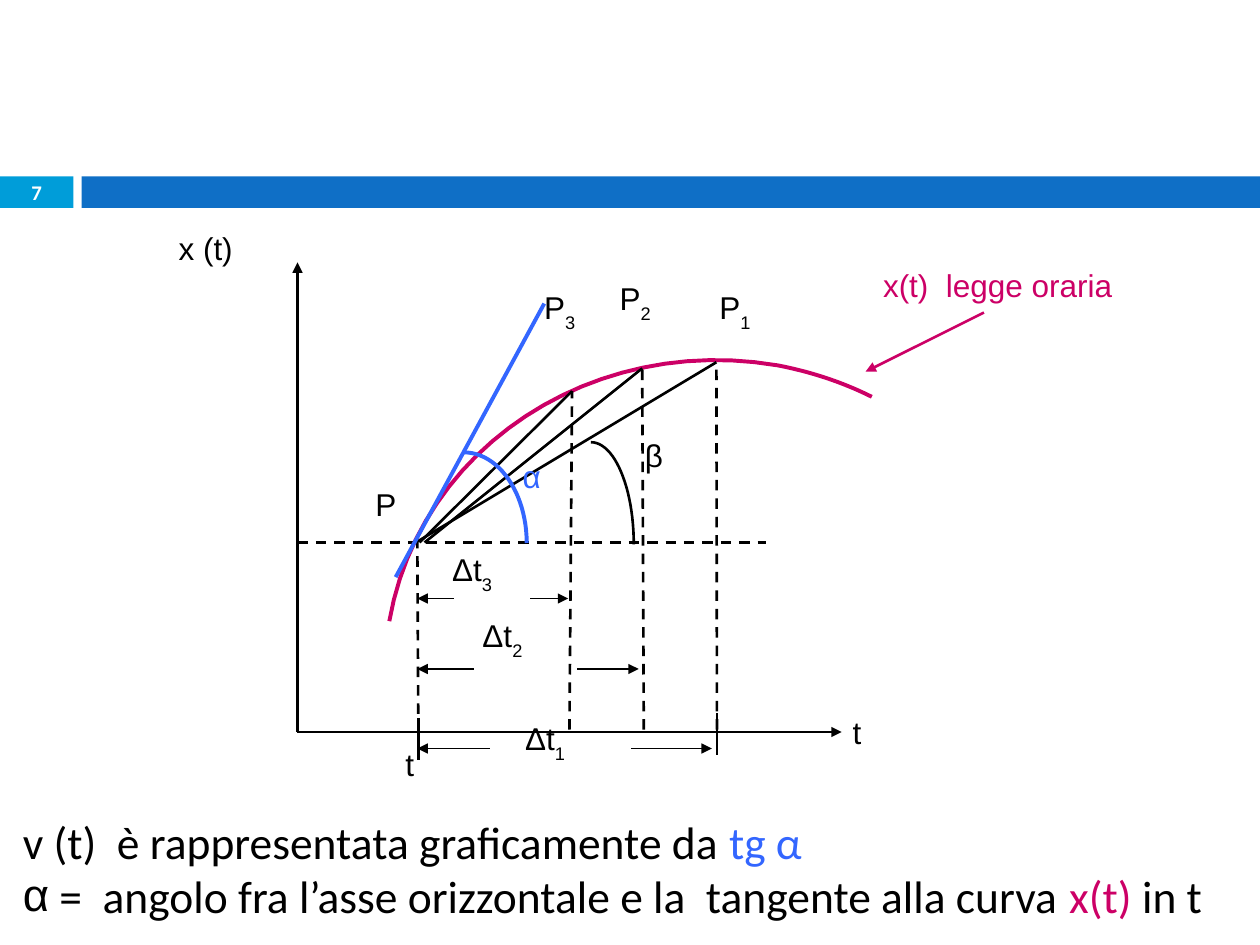
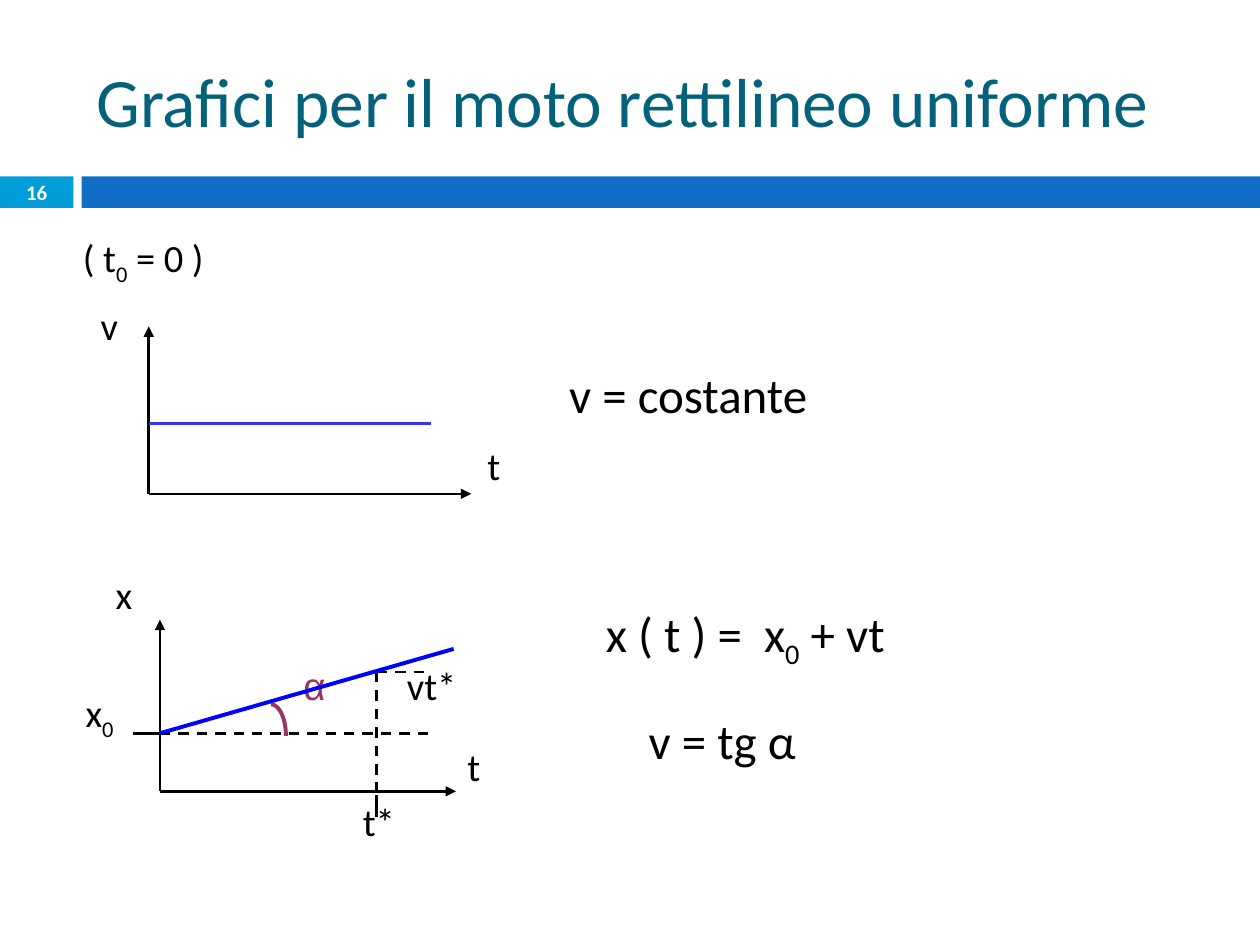
from dataclasses import dataclass

from pptx import Presentation
from pptx.dml.color import RGBColor
from pptx.enum.dml import MSO_LINE
from pptx.enum.shapes import MSO_CONNECTOR, MSO_SHAPE
from pptx.enum.text import MSO_ANCHOR as Anchor, PP_ALIGN as Align
from pptx.oxml.ns import qn
from pptx.slide import Slide
from pptx.util import Pt
from lxml.etree import SubElement

BLACK = RGBColor(0, 0, 0)
WHITE = RGBColor(255, 255, 255)
BAND_BLUE = RGBColor(0x0F, 0x6F, 0xC6)
NUMBER_BLUE = RGBColor(0x00, 0x9D, 0xD9)
TITLE_TEAL = RGBColor(0x04, 0x61, 0x7B)
CURVE_PINK = RGBColor(0xCC, 0x00, 0x66)
TANGENT_BLUE = RGBColor(0x33, 0x66, 0xFF)
SPEED_BLUE = RGBColor(0x33, 0x33, 0xFF)
POSITION_BLUE = RGBColor(0x00, 0x00, 0xFF)
ANGLE_PLUM = RGBColor(0x99, 0x33, 0x66)

TITLE_LAYOUT, BLANK_LAYOUT = 5, 6
CURVE_STEPS = 24
QUARTER = 0.5523


def add_run(paragraph, text, size, color, font, bold, baseline=None):
    """Append one formatted run to a paragraph."""
    run = paragraph.add_run()
    run.text = text
    run.font.size = Pt(size)
    run.font.name = font
    run.font.bold = bold
    run.font.color.rgb = color
    if baseline:
        run._r.get_or_add_rPr().set("baseline", str(baseline * 1000))


def set_bullet(paragraph, character):
    """Give a paragraph a flush bullet character."""
    properties = paragraph._p.get_or_add_pPr()
    properties.set("marL", "0")
    properties.set("indent", "0")
    SubElement(properties, qn("a:buFont")).set("typeface", "Arial")
    SubElement(properties, qn("a:buChar")).set("char", character)


def write(frame, *paragraphs, size=22, color=BLACK, font="Calibri", bold=False,
          baseline=-25, align=Align.LEFT, anchor=Anchor.TOP, wrap=True, bullets=()):
    """Fill a text frame; the character after an underscore becomes a subscript."""
    frame.word_wrap = wrap
    frame.vertical_anchor = anchor
    for index, content in enumerate(paragraphs):
        paragraph = frame.paragraphs[0] if index == 0 else frame.add_paragraph()
        paragraph.alignment = align
        if index < len(bullets) and bullets[index]:
            set_bullet(paragraph, bullets[index])
        pieces = [(content, color)] if isinstance(content, str) else content
        for text, piece_color in pieces:
            style = (size, piece_color, font, bold)
            plain, *subscripted = text.split("_")
            if plain:
                add_run(paragraph, plain, *style)
            for part in subscripted:
                add_run(paragraph, part[0], *style, baseline)
                if part[1:]:
                    add_run(paragraph, part[1:], *style)


def bezier(start, first, second, end):
    """Return points along a cubic curve, without its start."""
    points = []
    for step in range(1, CURVE_STEPS + 1):
        t = step / CURVE_STEPS
        weights = ((1 - t) ** 3, 3 * t * (1 - t) ** 2, 3 * t * t * (1 - t), t ** 3)
        points.append(tuple(sum(w * p[axis] for w, p in zip(weights, (start, first, second, end)))
                            for axis in (0, 1)))
    return points


@dataclass
class Region:
    """A part of a slide whose contents are placed from its top left corner."""
    slide: Slide
    left: float = 0
    top: float = 0

    def place(self, x, y):
        """Turn region coordinates into slide lengths."""
        return Pt(self.left + x), Pt(self.top + y)

    def text(self, box, *paragraphs, **text_format):
        """Add a text box at left, top, width, height."""
        x, y, width, height = box
        shape = self.slide.shapes.add_textbox(*self.place(x, y), Pt(width), Pt(height))
        write(shape.text_frame, *paragraphs, **text_format)

    def bar(self, box, color):
        """Add a plain filled rectangle."""
        x, y, width, height = box
        shape = self.slide.shapes.add_shape(
            MSO_SHAPE.RECTANGLE, *self.place(x, y), Pt(width), Pt(height))
        shape.shadow.inherit = False
        shape.fill.solid()
        shape.fill.fore_color.rgb = color
        shape.line.fill.background()

    def line(self, start, end, color=BLACK, width=1.5, dashed=False, arrow=False):
        """Add a straight line, with an optional arrowhead at its end."""
        connector = self.slide.shapes.add_connector(
            MSO_CONNECTOR.STRAIGHT, *self.place(*start), *self.place(*end))
        connector.line.color.rgb = color
        connector.line.width = Pt(width)
        if dashed:
            connector.line.dash_style = MSO_LINE.DASH
        if arrow:
            SubElement(connector.line._get_or_add_ln(), qn("a:tailEnd")).set("type", "triangle")
        SubElement(connector._element.spPr, qn("a:effectLst"))

    def axes(self, origin, right, top):
        """Add a horizontal and a vertical arrow from one origin."""
        self.line(origin, (right, origin[1]), arrow=True)
        self.line(origin, (origin[0], top), arrow=True)

    def curve(self, points, color, width=2.25):
        """Add an open unfilled curve through points."""
        start, *rest = [self.place(*point) for point in points]
        builder = self.slide.shapes.build_freeform(*start)
        builder.add_line_segments(rest, close=False)
        shape = builder.convert_to_shape()
        shape.shadow.inherit = False
        shape.fill.background()
        shape.line.color.rgb = color
        shape.line.width = Pt(width)

    def angle(self, start, end, color, width=2.25):
        """Add a quarter ellipse from its top to its right end."""
        (x, y), (right, bottom) = start, end
        first = (x + QUARTER * (right - x), y)
        second = (right, bottom - QUARTER * (bottom - y))
        self.curve([start, *bezier(start, first, second, end)], color, width)


def add_band(slide, number):
    """Draw the shared blue band with the slide number."""
    band = Region(slide, 0, 100.8)
    band.bar((0, 0, 42, 18), NUMBER_BLUE)
    band.bar((46.6, 0, 673.4, 18), BAND_BLUE)
    band.text((0, -0.5, 42, 19), str(number), size=11.9, color=WHITE, bold=True,
              align=Align.CENTER, anchor=Anchor.MIDDLE)


def draw_secants(slide, left, top):
    """Draw the law of motion with its secants, tangent and intervals."""
    plot = Region(slide, left, top)

    def label(x, y, text, width=60, height=54, color=BLACK):
        plot.text((x, y, width, height), text, size=18, color=color,
                  font="Arial", baseline=-30)

    axis_x, axis_y, level, t_x = 80, 298.3, 190, 148.5
    plot.axes((axis_x, axis_y), 391, 30)
    plot.line((axis_x, level), (347.8, level), dashed=True)
    plot.line((149, 288), (t_x, level), dashed=True)

    start, middle, end = (132.5, 235), (354.2, 88.8), (408.2, 106.8)
    plot.curve([start, *bezier(start, (149.8, 135.6), (249.1, 70.8), middle),
                *bezier(middle, (373, 92.4), (391, 98.2), end)], CURVE_PINK)

    secants = [(147.6, 319.4, 87), (152.6, 277, 90.5), (149.8, 236.9, 103.5)]
    for foot, (begin, x, y) in zip((319.7, 277.9, 235.4), secants):
        plot.line((foot, 297), (x, y), dashed=True)
        plot.line((begin, level), (x, y))
    plot.line((136.1, 209.8), (221, 53.5), TANGENT_BLUE, 2.25)
    plot.angle((175, 138.5), (211, 190.3), TANGENT_BLUE)
    plot.angle((247.7, 132.7), (272.2, 191), BLACK, 1.5)

    for x, y in ((149, 290.4), (319.7, 287.5)):
        plot.line((x, y), (x, y + 23.8))
    intervals = [("Δt_1", 203, 287.5, 307.7, 190, 270.7, 316.8),
                 ("Δt_2", 178.6, 228.5, 262.3, 180.7, 239.8, 275),
                 ("Δt_3", 161.3, 191, 222, 169.2, 213, 234.7)]
    for name, x, y, arrow_y, inner_left, inner_right, right in intervals:
        label(x, y, name, 65)
        plot.line((inner_left, arrow_y), (t_x, arrow_y), width=1, arrow=True)
        plot.line((inner_right, arrow_y), (right, arrow_y), width=1, arrow=True)

    label(5, 7.4, "x (t)", 127, 77)
    label(390.2, 284, "t", 46)
    label(134.6, 302, "t", 48, 47)
    label(117.4, 153.6, "P", 37, 48)
    label(213.8, 41.3, "P_3", height=74)
    label(257, 36.2, "P_2", height=66)
    label(314, 41.3, "P_1", 91, 67)
    label(201.6, 137.8, "α", color=TANGENT_BLUE)
    label(271.4, 125.5, "β", height=46)
    label(407.5, 28.3, "x(t)  legge oraria", 220, 59, CURVE_PINK)
    plot.line((472.3, 58.6), (404.6, 92.4), CURVE_PINK, arrow=True)


def draw_conclusion(slide, left, top):
    """Write what the tangent means below the plot."""
    Region(slide, left, top).text(
        (0, 0, 714, 70.5),
        [("v (t)  è rappresentata graficamente da ", BLACK), ("tg α", TANGENT_BLUE)],
        [(" =  angolo fra l’asse orizzontale e la  tangente alla curva ", BLACK),
         ("x(t)", CURVE_PINK), (" in t", BLACK)],
        size=26, anchor=Anchor.MIDDLE, bullets=(None, "α"))


def draw_speed_plot(slide, left, top):
    """Draw the constant speed against time."""
    plot = Region(slide, left, top)
    plot.axes((37, 117.2), 221.3, 21.5)
    plot.line((37, 77), (198.2, 77), SPEED_BLUE, 2.25)
    plot.text((2.4, 4.2, 47, 47), "v")
    plot.text((223.4, 84, 80, 64), "t")


def draw_position_plot(slide, left, top):
    """Draw the position growing linearly with time."""
    plot = Region(slide, left, top)
    axis_x, axis_y, level, star_x = 51.4, 132.2, 99, 175.3
    plot.axes((axis_x, axis_y), 220.6, 34.2)
    plot.line((36.3, level), (axis_x, level))
    plot.line((axis_x, level), (205.5, level), dashed=True)
    plot.line((star_x, 64), (203.4, 64), dashed=True)
    plot.line((star_x, 64), (star_x, axis_y), dashed=True)
    plot.line((star_x, 134.3), (star_x, 146.6))
    plot.angle((114.8, 82.5), (123.4, 100.5), ANGLE_PLUM)
    plot.text((126.3, 55, 36, 45), "α", color=ANGLE_PLUM, font="Arial")
    plot.line((axis_x, level), (219.2, 50.8), POSITION_BLUE, 2.25)
    plot.text((19, 2.6, 50, 62), "x")
    plot.text((220, 101.2, 36, 54), "t")
    plot.text((1.8, 70.2, 54, 54), "x_0")
    plot.text((160.2, 132.2, 54, 45), "t*")
    plot.text((185.4, 55, 72, 45), "vt*")


def draw_formulas(slide, left, top):
    """Write the formulas beside the two plots."""
    formulas = Region(slide, left, top)
    for x, y, width, text in ((0, 0, 161, "v = costante"),
                              (21, 139, 204, "x ( t ) =  x_0 + vt"),
                              (45.4, 198, 118, "v = tg α")):
        formulas.text((x, y, width, 41), text, size=28, anchor=Anchor.MIDDLE, wrap=False)


def build_tangent_slide(presentation):
    """Build the slide on the tangent to the law of motion."""
    slide = presentation.slides.add_slide(presentation.slide_layouts[BLANK_LAYOUT])
    add_band(slide, 7)
    draw_secants(slide, 90, 120)
    draw_conclusion(slide, 6, 461)


def build_uniform_motion_slide(presentation):
    """Build the slide with the plots of uniform motion."""
    slide = presentation.slides.add_slide(presentation.slide_layouts[TITLE_LAYOUT])
    add_band(slide, 16)
    title = slide.shapes.title
    title.left, title.top, title.width, title.height = Pt(48), Pt(18), Pt(642), Pt(78)
    write(title.text_frame, "Grafici per il moto rettilineo uniforme", size=39.6,
          color=TITLE_TEAL, anchor=Anchor.MIDDLE)
    Region(slide, 40.3, 131.8).text((0, 0, 130, 34), "( t_0 = 0 )", anchor=Anchor.MIDDLE)
    draw_speed_plot(slide, 48, 165)
    draw_position_plot(slide, 40, 320)
    draw_formulas(slide, 318.2, 204.5)


def main():
    """Build and save the presentation."""
    presentation = Presentation()
    presentation.slide_width, presentation.slide_height = Pt(720), Pt(540)
    build_tangent_slide(presentation)
    build_uniform_motion_slide(presentation)
    presentation.save("out.pptx")


if __name__ == "__main__":
    main()
